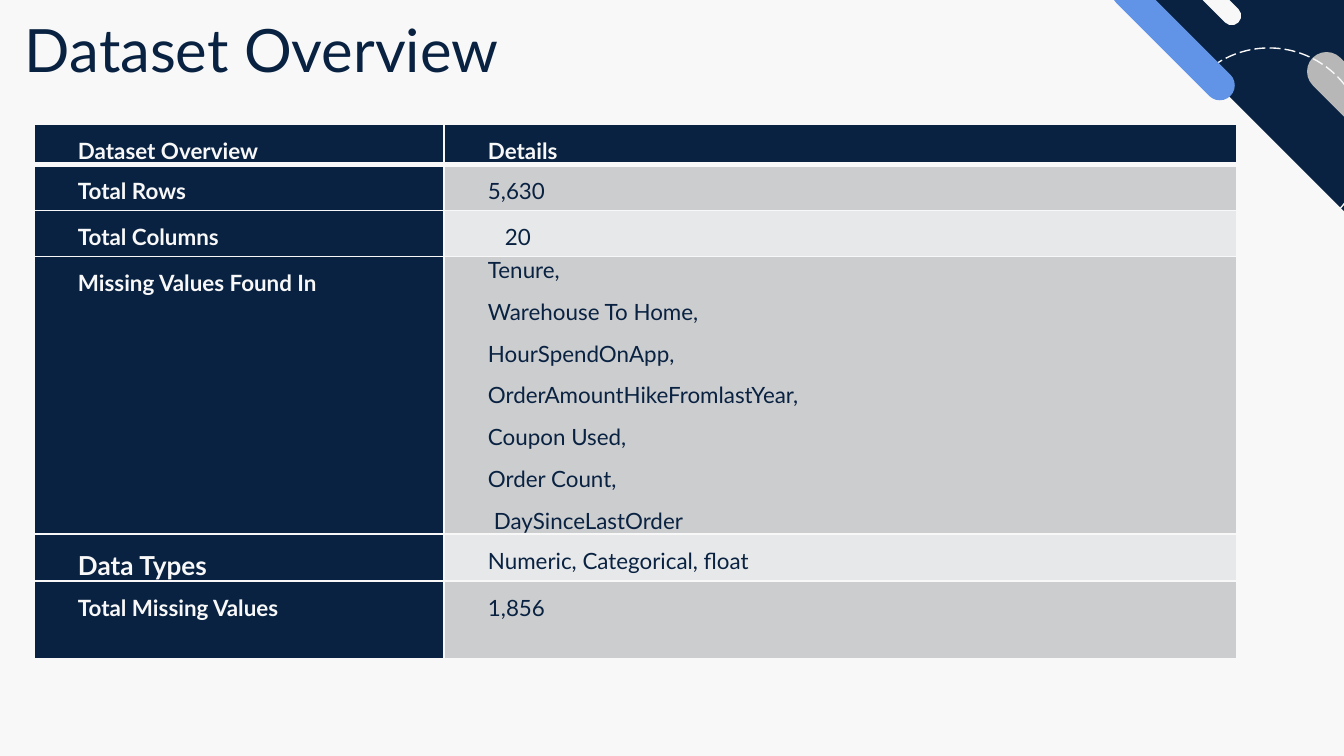
from lxml.etree import SubElement
from pptx import Presentation
from pptx.dml.color import RGBColor
from pptx.enum.dml import MSO_LINE
from pptx.enum.shapes import MSO_SHAPE
from pptx.enum.text import MSO_ANCHOR, PP_ALIGN
from pptx.oxml.ns import qn
from pptx.util import Pt

SCALE = 914400 / 134.4
NAVY = RGBColor(0x09, 0x22, 0x41)
PALE = RGBColor(0xF8, 0xF8, 0xF8)
BLUE = RGBColor(0x61, 0x94, 0xE6)
GRAY = RGBColor(0xB7, 0xB7, 0xB7)
DARK = RGBColor(0xCC, 0xCD, 0xCF)
LIGHT = RGBColor(0xE7, 0xE8, 0xE9)


def px(*nums):
    return [round(num * SCALE) for num in nums]


def write(para, text, color, left=0, **form):
    para.text = text
    para.font.color.rgb = color
    for key, val in ({"name": "Lato"} | form).items():
        setattr(para.font, key, val)
    props = para._p.get_or_add_pPr()
    props.set("marL", str(px(left)[0]))
    props.set("indent", "0")


deck = Presentation()
deck.slide_width, deck.slide_height = px(1344, 756)
slide = deck.slides.add_slide(deck.slide_layouts[6])
slide.background.fill.solid()
slide.background.fill.fore_color.rgb = PALE

corner = [
    (MSO_SHAPE.RIGHT_TRIANGLE, (1125, -8, 228, 228), 180, NAVY),
    (MSO_SHAPE.ROUNDED_RECTANGLE, (1288, 98, 169, 39), 45, GRAY),
    (MSO_SHAPE.OVAL, (1173, 48, 192, 192), 0, None),
    (MSO_SHAPE.ROUNDED_RECTANGLE, (1093, 24, 161, 30), 45, BLUE),
    (MSO_SHAPE.ROUNDED_RECTANGLE, (1142, -27, 113, 19), 45, PALE),
]
for kind, box, turn, color in corner:
    shape = slide.shapes.add_shape(kind, *px(*box))
    shape.shadow.inherit = False
    shape.rotation = turn
    if kind == MSO_SHAPE.ROUNDED_RECTANGLE:
        shape.adjustments[0] = 0.5
    if color:
        shape.fill.solid()
        shape.fill.fore_color.rgb = color
        shape.line.fill.background()
    else:
        shape.fill.background()
        shape.line.color.rgb = PALE
        shape.line.width = Pt(0.75)
        shape.line.dash_style = MSO_LINE.LONG_DASH

title = slide.shapes.add_textbox(*px(0, 0, 1133, 85)).text_frame
pad, = px(13)
frame = {"word_wrap": True, "margin_left": pad, "margin_right": pad,
         "margin_top": pad, "margin_bottom": pad}
for key, val in frame.items():
    setattr(title, key, val)
write(title.paragraphs[0], "Dataset Overview", NAVY, left=12, size=Pt(32))

rows = [
    (28, "Dataset Overview", ["Details"]),
    (46, "Total Rows", ["5,630"]),
    (46, "Total Columns", ["20"]),
    (232, "Missing Values Found In", [
        "Tenure,", "Warehouse To Home,", "HourSpendOnApp,",
        "OrderAmountHikeFromlastYear,", "Coupon Used,", "Order Count,",
        "DaySinceLastOrder"]),
    (46, "Data Types", ["Numeric, Categorical, float"]),
    (78, "Total Missing Values", ["1,856"]),
]
shift = {"20": 17, "DaySinceLastOrder": 6}
grid = slide.shapes.add_table(len(rows), 2, *px(34, 124, 1203, 531))
table = grid.table
for col, width in zip(table.columns, px(410, 793)):
    col.width = width

side, = px(4)
inset = {"margin_left": side, "margin_right": side,
         "margin_top": 0, "margin_bottom": 0}
style = {"alignment": PP_ALIGN.JUSTIFY, "space_after": Pt(8)}
for r, (height, label, lines) in enumerate(rows):
    table.rows[r].height, = px(height)
    for c, texts in enumerate(([label], lines)):
        cell = table.cell(r, c)
        for key, val in inset.items():
            setattr(cell, key, val)
        props = cell._tc.get_or_add_tcPr()
        for edge in ("lnL", "lnR", "lnT", "lnB"):
            thick = (r, edge) in ((0, "lnB"), (1, "lnT"))
            line = SubElement(props, qn("a:" + edge), w=str(Pt(3 if thick else 1)))
            fill = SubElement(line, qn("a:solidFill"))
            SubElement(fill, qn("a:srgbClr"), val=str(PALE))
        head = r == 0 or c == 0
        cell.fill.solid()
        cell.fill.fore_color.rgb = NAVY if head else DARK if r % 2 else LIGHT
        for i, text in enumerate(texts):
            body = cell.text_frame
            para = body.add_paragraph() if i else body.paragraphs[0]
            write(para, text, PALE if head else NAVY, left=40 + shift.get(text, 0),
                  bold=head, size=Pt(14 if text == "Data Types" else 12))
            for key, val in style.items():
                setattr(para, key, val)
            para.line_spacing = 1.5 if len(texts) == 1 else 1.0
table.cell(0, 1).vertical_anchor = MSO_ANCHOR.BOTTOM
grid.height, = px(531)

deck.save("out.pptx")
